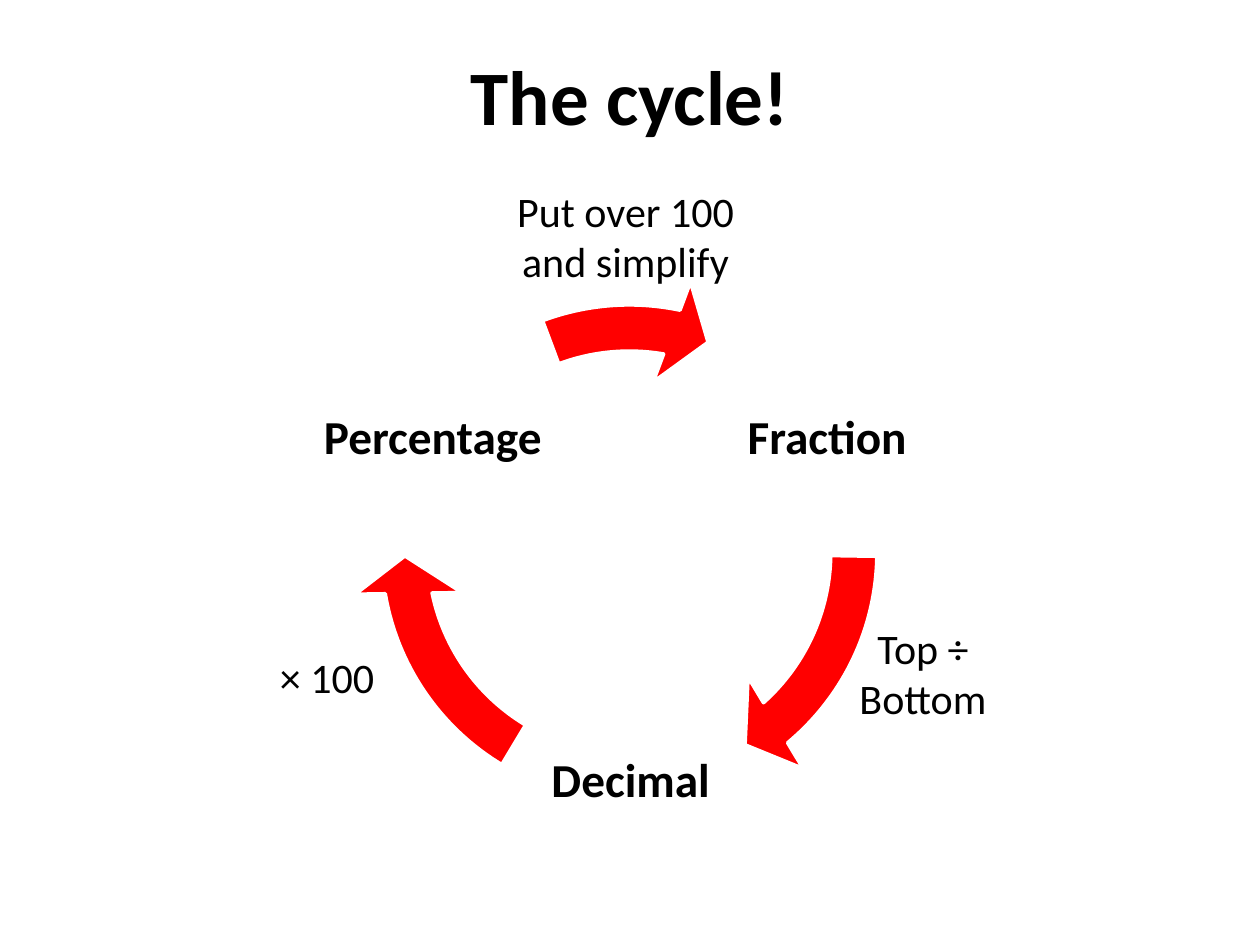
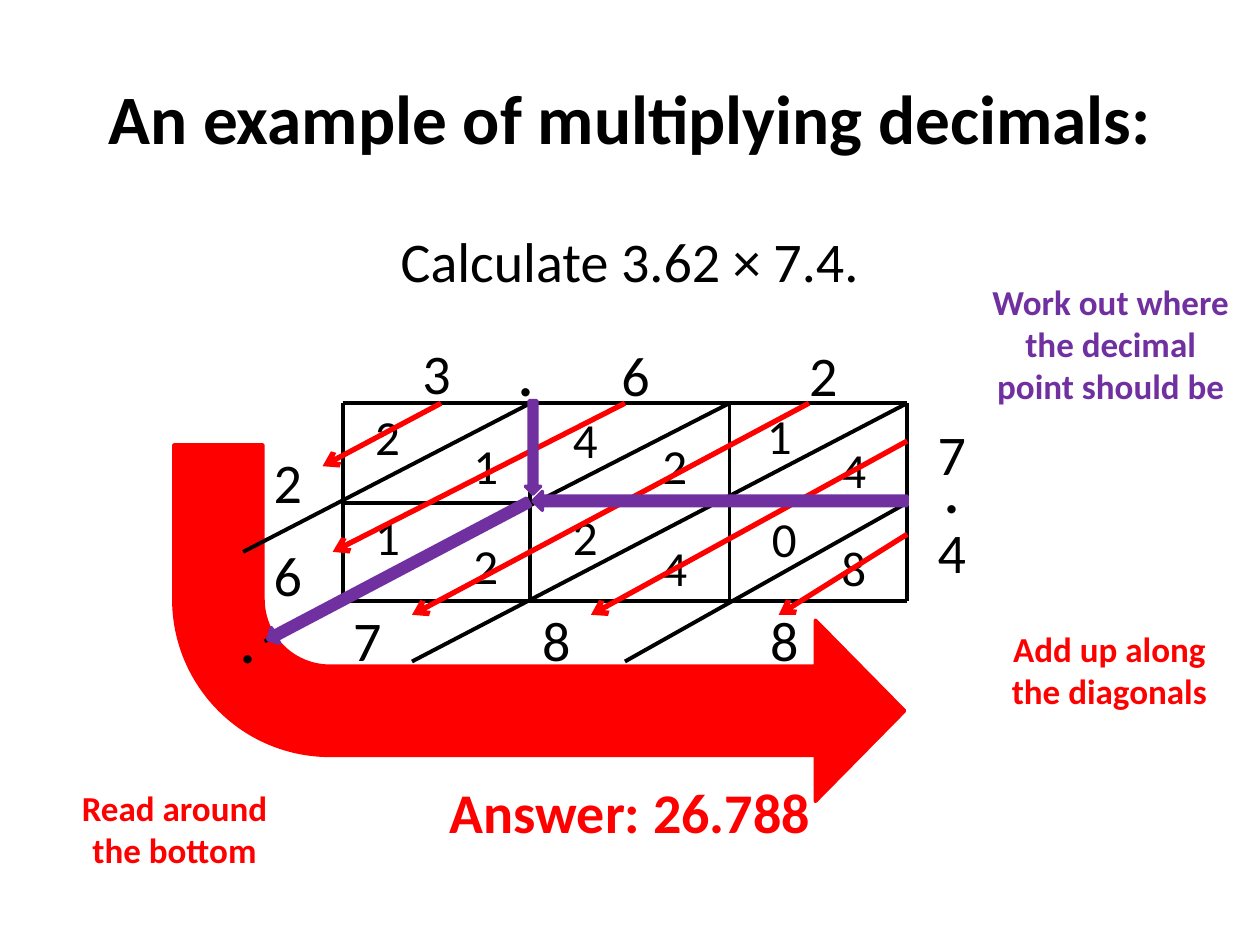
from lxml import etree
from pptx import Presentation
from pptx.dml.color import RGBColor
from pptx.enum.shapes import MSO_CONNECTOR, MSO_SHAPE as Preset
from pptx.enum.text import MSO_ANCHOR as Anchor, PP_ALIGN as Align
from pptx.oxml.ns import qn
from pptx.util import Inches, Pt

COLOURS = {"black": "000000", "white": "FFFFFF", "red": "FF0000", "purple": "7030A0"}
FONT = "Calibri"


def rgb(colour):
    return RGBColor.from_string(COLOURS[colour])


class Deck:
    def __init__(self):
        self.prs = Presentation()
        self.prs.slide_width, self.prs.slide_height = Inches(10), Inches(7.5)
        self.slide = None

    def new_slide(self, title, top, size):
        self.slide = self.prs.slides.add_slide(self.prs.slide_layouts[6])
        self.text(title, 0.5, top, 9, 1.25, size, bold=True, anchor=Anchor.MIDDLE)

    def text(self, words, left, top, width, height, size, colour="black",
             bold=False, anchor=Anchor.TOP, inset=None, spacing=None):
        box = self.slide.shapes.add_textbox(*map(Inches, (left, top, width, height)))
        frame = box.text_frame
        frame.word_wrap = True
        frame.vertical_anchor = anchor
        if inset is not None:
            frame.margin_left = frame.margin_right = Inches(inset)
            frame.margin_top = frame.margin_bottom = Inches(inset)
        paragraph = frame.paragraphs[0]
        paragraph.alignment = Align.CENTER
        if spacing:
            paragraph.line_spacing = spacing
        run = paragraph.add_run()
        run.text = words
        run.font.name, run.font.size, run.font.bold = FONT, Pt(size), bold
        run.font.color.rgb = rgb(colour)

    def digits(self, placed, size, height, bold=False):
        """Place single characters, each given as (character, left, top)."""
        for character, left, top in placed:
            self.text(character, left, top, 0.71, height, size, bold=bold)

    def shape(self, preset, left, top, width, height, fill, outline,
              adjustments=(), rotation=0, flip=False):
        shape = self.slide.shapes.add_shape(
            preset, *map(Inches, (left, top, width, height)))
        shape.shadow.inherit = False
        shape.fill.solid()
        shape.fill.fore_color.rgb = rgb(fill)
        shape.line.color.rgb = rgb(outline)
        shape.line.width = Pt(2)
        for index, value in enumerate(adjustments):
            shape.adjustments[index] = value
        shape.rotation = rotation
        if flip:
            shape.element.spPr.find(qn("a:xfrm")).set("flipH", "1")

    def line(self, x1, y1, x2, y2, colour="black", width=2.25, arrow=False):
        line = self.slide.shapes.add_connector(
            MSO_CONNECTOR.STRAIGHT, *map(Inches, (x1, y1, x2, y2)))
        line.line.color.rgb = rgb(colour)
        line.line.width = Pt(width)
        properties = line.element.spPr
        if arrow:
            etree.SubElement(properties.find(qn("a:ln")), qn("a:tailEnd"), type="arrow")
        etree.SubElement(properties, qn("a:effectLst"))


def cycle_slide(deck):
    deck.new_slide("The cycle!", 0.13, 44)
    stages = [
        ("Fraction", 5.63, 2.55, 29.615, 0.533),
        ("Decimal", 4.07, 5.27, 101.7, 72.619),
        ("Percentage", 2.5, 2.55, 168.545, 149.689),
    ]
    for name, left, top, arc_end, arc_start in stages:
        deck.text(name, left, top, 1.87, 1.87, 27, bold=True,
                  anchor=Anchor.MIDDLE, inset=0.04, spacing=0.9)
        deck.shape(Preset.CIRCULAR_ARROW, 2.79, 2.18, 4.41, 4.41, "red", "white",
                   (0.083, 5.766, arc_end, arc_start, 0.096))
    deck.text("Top ÷ Bottom", 6.5, 4.89, 1.65, 0.91, 24)
    deck.text("× 100", 1.77, 5.12, 1.65, 0.5, 24)
    deck.text("Put over 100 and simplify", 3.9, 1.42, 2.13, 0.91, 24)


def lattice_slide(deck):
    columns, rows = (2.72, 4.21, 5.79, 7.2), (3.2, 3.99, 4.77)
    left, right, top, bottom = columns[0], columns[-1], rows[0], rows[-1]

    products = [
        ("2", 2.72, 3.18), ("1", 3.5, 3.41), ("4", 4.29, 3.2),
        ("2", 5, 3.41), ("1", 5.83, 3.17), ("4", 6.42, 3.44),
        ("1", 2.72, 3.97), ("2", 3.5, 4.2), ("2", 4.29, 3.97),
        ("4", 5, 4.22), ("0", 5.87, 3.99), ("8", 6.42, 4.22),
    ]
    factors = [("3", 3.11, 2.64), ("6", 4.69, 2.65), ("2", 6.18, 2.65),
               ("7", 7.2, 3.28), ("4", 7.2, 4.06)]
    factor_points = [(".", 3.82, 2.65), (".", 7.2, 3.58)]
    totals = [("2", 1.93, 3.5), ("6", 1.93, 4.24), ("7", 2.56, 4.76),
              ("8", 4.06, 4.76), ("8", 5.87, 4.76)]
    diagonals = [(1.93, 4.38, columns[1], top), (2.1, 5.09, columns[2], top),
                 (3.27, 5.25, right, top), (4.96, 5.25, right, rows[1])]
    sums = [(right, 4.24, 6.18, 4.88), (right, 3.5, 4.69, 4.88),
            (6.42, top, 3.27, 4.88), (4.96, top, 2.64, 4.38), (3.5, top, 2.56, 3.7)]

    deck.new_slide("An example of multiplying decimals:", 0.3, 39.6)
    deck.digits(products, 28, 0.57)
    deck.digits(factors, 32, 0.64)
    deck.digits(factor_points, 32, 0.64, bold=True)
    deck.shape(Preset.BENT_ARROW, 1.38, 3.53, 5.8, 2.83, "red", "red",
               (0.25, 0.254, 0.25, 0.438), rotation=180, flip=True)
    deck.text("Calculate 3.62 × 7.4.", 0.5, 1.75, 9, 0.64, 32)
    deck.text("Answer: 26.788", 0.5, 6.12, 9, 0.64, 32, "red", bold=True)

    for y in rows:
        deck.line(left, y, right, y)
    for x in columns:
        deck.line(x, bottom, x, top)
    for diagonal in diagonals:
        deck.line(*diagonal)
    deck.digits(totals, 32, 0.64)
    for direction in sums:
        deck.line(*direction, colour="red", width=3, arrow=True)
    deck.digits([(".", 1.61, 4.77)], 32, 0.64, bold=True)

    point_arrows = [
        (Preset.DOWN_ARROW, 4.17, 3.18, 0.12, 0.74, 0),
        (Preset.LEFT_ARROW, 4.23, 3.9, 2.97, 0.15, 0),
        (Preset.LEFT_ARROW, 1.99, 4.46, 2.34, 0.14, 332.2),
    ]
    for preset, x, y, width, height, rotation in point_arrows:
        deck.shape(preset, x, y, width, height, "purple", "purple", rotation=rotation)

    hints = [
        ("Add up along the diagonals", 7.76, 4.93, 0.77, "red"),
        ("Read around the bottom", 0.34, 6.19, 0.77, "red"),
        ("Work out where the decimal point should be", 7.77, 2.18, 1.11, "purple"),
    ]
    for words, x, y, height, colour in hints:
        deck.text(words, x, y, 2.09, height, 20, colour, bold=True)


def main():
    deck = Deck()
    cycle_slide(deck)
    lattice_slide(deck)
    deck.prs.save("out.pptx")


if __name__ == "__main__":
    main()
